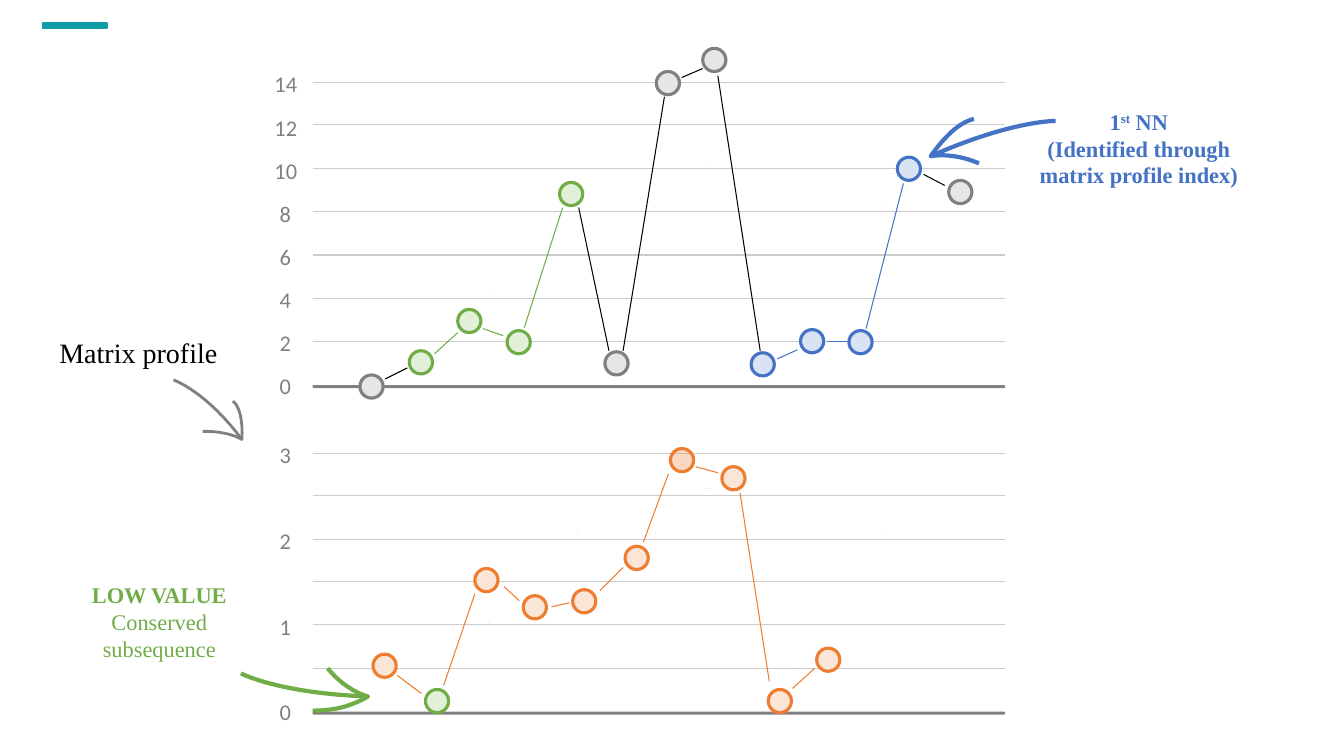
"""Build a slide that explains a matrix profile with two hand-made line plots."""
from lxml import etree
from pptx import Presentation
from pptx.dml.color import RGBColor
from pptx.enum.shapes import MSO_CONNECTOR, MSO_SHAPE
from pptx.enum.text import PP_ALIGN
from pptx.oxml.ns import qn
from pptx.util import Pt

PX = 9144
RECTANGLE = MSO_SHAPE.RECTANGLE
ROUNDED = MSO_SHAPE.ROUNDED_RECTANGLE
OVAL = MSO_SHAPE.OVAL
STRAIGHT = MSO_CONNECTOR.STRAIGHT
CENTER, LEFT = PP_ALIGN.CENTER, PP_ALIGN.LEFT

GRAY, GREEN, BLUE, ORANGE = "808080", "70AD47", "4472C4", "ED7D31"
BLACK, GRID, SPECK, TEAL = "000000", "CCCCCC", "D5D5E2", "0F9CA7"
PALE = {GRAY: "E7E6E6", GREEN: "E2F0D9", BLUE: "DAE3F3", ORANGE: "FBE5D6"}
SERIF, SANS = "Times New Roman", "Calibri"
PLOT_LEFT, PLOT_RIGHT = 310, 997
NODE_SIZE = 23


def color(value):
    return RGBColor.from_string(value)


deck = Presentation()
deck.slide_width, deck.slide_height = 1333 * PX, 750 * PX
page = deck.slides.add_slide(deck.slide_layouts[6])


def add_solid(kind, left, top, width, height, fill, line=None, weight=1):
    shape = page.shapes.add_shape(kind, left * PX, top * PX, width * PX, height * PX)
    shape.shadow.inherit = False
    shape.fill.solid()
    shape.fill.fore_color.rgb = color(fill)
    if line:
        shape.line.color.rgb = color(line)
        shape.line.width = Pt(weight)
    else:
        shape.line.fill.background()
    return shape


add_solid(RECTANGLE, 42, 23, 64, 5, TEAL, TEAL)

links = [(PLOT_LEFT, y, PLOT_RIGHT, y, GRID)
         for first, span, count in ((82, 257, 6), (450, 213, 5))
         for y in (first + span * step // count for step in range(count + 1))]
links += [
    (382, 376, 404, 365, BLACK), (431, 351, 454, 330, GREEN),
    (479, 326, 499, 333, GREEN), (520, 325, 558, 206, GREEN),
    (574, 206, 604, 348, BLACK), (618, 348, 659, 96, BLACK),
    (754, 348, 712, 75, BLACK), (697, 68, 676, 77, BLACK),
    (791, 347, 771, 356, BLUE), (840, 339, 820, 339, BLUE),
    (859, 326, 896, 182, BLUE), (937, 184, 916, 173, BLACK),
    (394, 670, 418, 688, ORANGE), (440, 680, 471, 589, ORANGE),
    (500, 582, 515, 596, ORANGE), (547, 602, 565, 598, ORANGE),
    (618, 563, 595, 586, ORANGE), (638, 538, 663, 470, ORANGE),
    (763, 676, 734, 489, ORANGE), (712, 469, 690, 463, ORANGE),
    (808, 663, 786, 683, ORANGE),
]
for x1, y1, x2, y2, ink in links:
    link = page.shapes.add_connector(STRAIGHT, x1 * PX, y1 * PX, x2 * PX, y2 * PX)
    link.line.color.rgb = color(ink)
    link.line.width = Pt(0.75)
    etree.SubElement(link._element.spPr, qn("a:effectLst"))

for baseline in (382, 706):
    bar = add_solid(ROUNDED, PLOT_LEFT, baseline, PLOT_RIGHT - PLOT_LEFT, 3, GRAY)
    bar.adjustments[0] = 0.5

for shift in (0, 324):
    for x, y in ((877, 205), (790, 338), (703, 160), (572, 205), (485, 293)):
        add_solid(RECTANGLE, x, y + shift, 1, 1, SPECK)

nodes = [
    (357, 372, GRAY), (406, 348, GREEN), (454, 307, GREEN), (503, 328, GREEN),
    (555, 181, GREEN), (600, 349, GRAY), (651, 71, GRAY), (697, 48, GRAY),
    (745, 350, BLUE), (794, 327, BLUE), (842, 328, BLUE), (890, 156, BLUE),
    (941, 179, GRAY),
    (370, 649, ORANGE), (422, 684, GREEN), (471, 564, ORANGE), (519, 591, ORANGE),
    (568, 585, ORANGE), (620, 542, ORANGE), (716, 463, ORANGE), (762, 684, ORANGE),
    (810, 643, ORANGE),
]
for x, y, ink in nodes:
    add_solid(OVAL, x, y, NODE_SIZE, NODE_SIZE, PALE[ink], ink, 2.25)

peak = add_solid(OVAL, 665, 445, NODE_SIZE, NODE_SIZE, ORANGE, ORANGE, 2.25)
peak_fill = peak._element.spPr.find(qn("a:solidFill"))[0]
etree.SubElement(peak_fill, qn("a:alpha"), val="30000")

texts = []
for zero_top, span, count, unit in ((364, 299, 7, 2), (688, 255, 3, 1)):
    for step in range(count + 1):
        label = str(step * unit)
        width = 32 if len(label) == 1 else 43
        top = zero_top - span * step // count
        texts.append((283 - width // 2, top, width, 37, SANS, 16, GRAY, CENTER, False,
                      [[(label, False, 0)]]))
texts += [
    (49, 328, 180, 44, SERIF, 20, BLACK, LEFT, True, [[("Matrix profile", False, 0)]]),
    (1012, 102, 235, 91, SERIF, 16, BLUE, CENTER, True,
     [[("1", True, 0), ("st", True, 30000), (" NN", True, 0)],
      [("(Identified through matrix profile index)", True, 0)]]),
    (75, 572, 166, 91, SERIF, 16, GREEN, CENTER, True,
     [[("LOW VALUE", True, 0)], [("Conserved subsequence", False, 0)]]),
]
for left, top, width, height, face, size, ink, align, wrap, lines in texts:
    box = page.shapes.add_textbox(left * PX, top * PX, width * PX, height * PX)
    frame = box.text_frame
    frame.word_wrap = wrap
    for index, spans in enumerate(lines):
        para = frame.add_paragraph() if index else frame.paragraphs[0]
        para.alignment = align
        para.font.name, para.font.size = face, Pt(size)
        para.font.bold = spans[0][1]
        para.font.color.rgb = color(ink)
        for words, _, raised in spans:
            span = para.add_run()
            span.text = words
            if raised:
                span._r.get_or_add_rPr().set("baseline", str(raised))

strokes = [
    (GREEN, 3, [(239, 668), (240, 669), (279, 688), (365, 691)]),
    (GREEN, 3, [(325, 663), (326, 664), (341, 684), (365, 691),
                (346, 702), (329, 705), (310, 705)]),
    (GRAY, 2, [(172, 377), (173, 377), (205, 389), (240, 436)]),
    (GRAY, 2, [(201, 428), (203, 428), (224, 427), (240, 436),
               (241, 419), (238, 403), (231, 398)]),
    (BLUE, 3, [(1047, 120), (1045, 120), (1002, 120), (923, 155)]),
    (BLUE, 3, [(971, 162), (970, 162), (948, 151), (923, 155),
               (936, 137), (950, 122), (966, 118)]),
]
for ink, weight, controls in strokes:
    points = []
    for start in range(0, len(controls) - 1, 3):
        curve = controls[start:start + 4]
        for t in (step / 16 for step in range(1, 17)):
            weights = ((1 - t) ** 3, 3 * t * (1 - t) ** 2, 3 * t * t * (1 - t), t ** 3)
            points.append(tuple(PX * sum(w * point[axis] for w, point in zip(weights, curve))
                                for axis in (0, 1)))
    builder = page.shapes.build_freeform(controls[0][0] * PX, controls[0][1] * PX)
    builder.add_line_segments(points, close=False)
    stroke = builder.convert_to_shape()
    stroke.shadow.inherit = False
    stroke.fill.background()
    stroke.line.color.rgb = color(ink)
    stroke.line.width = Pt(weight)

deck.save("out.pptx")
